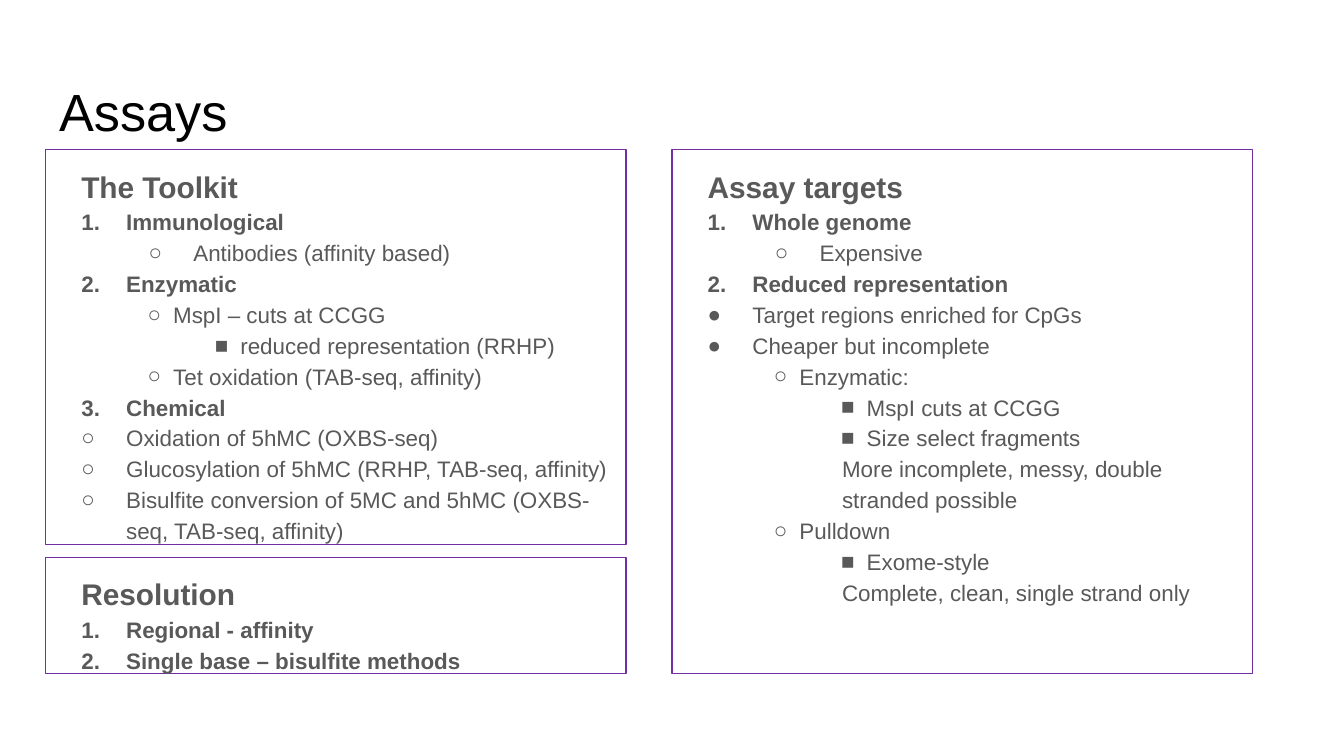
from lxml import etree
from pptx import Presentation
from pptx import util as u
from pptx.dml.color import RGBColor
from pptx.enum import shapes, text
from pptx.oxml.ns import qn

HUES = {"ink": "000000", "text": "595959", "edge": "7030A0"}
FACE = "Arial"
INSET = {f"margin_{side}": u.Pt(7.2) for side in ("left", "top", "right", "bottom")}
FRAME = {**INSET, "word_wrap": True, "auto_size": text.MSO_AUTO_SIZE.NONE,
         "vertical_anchor": text.MSO_ANCHOR.TOP}

# kind: level, left margin, indent, bullet, size, bold
KINDS = {
    "head": (0, 12, 0, None, 16, True),
    "num": (0, 36, -24, "1.", 12, True),
    "dot": (0, 36, -24, "●", 12, False),
    "ring": (1, 36, -24, "○", 12, False),
    "wide": (1, 72, -24, "○", 12, False),
    "sub": (1, 61.2, -13.7, "○", 12, False),
    "square": (2, 97.2, -13.7, "■", 12, False),
    "note": (2, 84, 0, None, 12, False),
}

TOOLKIT = [
    ("head", "The Toolkit"),
    ("num", "Immunological"),
    ("wide", "Antibodies (affinity based)"),
    ("num", "Enzymatic"),
    ("sub", "MspI – cuts at CCGG"),
    ("square", "reduced representation (RRHP)"),
    ("sub", "Tet oxidation (TAB-seq, affinity)"),
    ("num", "Chemical"),
    ("ring", "Oxidation of 5hMC (OXBS-seq)"),
    ("ring", "Glucosylation of 5hMC (RRHP, TAB-seq, affinity)"),
    ("ring", "Bisulfite conversion of 5MC and 5hMC (OXBS-seq, TAB-seq, affinity)"),
]
TARGETS = [
    ("head", "Assay targets"),
    ("num", "Whole genome"),
    ("wide", "Expensive"),
    ("num", "Reduced representation"),
    ("dot", "Target regions enriched for CpGs"),
    ("dot", "Cheaper but incomplete"),
    ("sub", "Enzymatic:"),
    ("square", "MspI cuts at CCGG"),
    ("square", "Size select fragments"),
    ("note", "More incomplete, messy, double stranded possible"),
    ("sub", "Pulldown"),
    ("square", "Exome-style"),
    ("note", "Complete, clean, single strand only"),
]
DETAIL = [
    ("head", "Resolution"),
    ("num", "Regional - affinity"),
    ("num", "Single base – bisulfite methods"),
]


def hue(name):
    """Return the named colour."""
    return RGBColor.from_string(HUES[name])


def apply(thing, values):
    """Set each attribute of thing from a dict."""
    for key, value in values.items():
        setattr(thing, key, value)


def place(shape, box):
    """Move and size a shape to a box given in points."""
    apply(shape, dict(zip(("left", "top", "width", "height"), map(u.Pt, box))))


def write(para, words, size, bold, color):
    """Add one formatted run to a paragraph."""
    run = para.add_run()
    run.text = words
    apply(run.font, {"name": FACE, "size": u.Pt(size), "bold": bold})
    run.font.color.rgb = hue(color)


def mark(para, left, indent, sign):
    """Give a paragraph its indents and its bullet or number."""
    props = para._p.get_or_add_pPr()
    props.set("marL", str(u.Pt(left)))
    props.set("indent", str(u.Pt(indent)))
    if sign is None:
        etree.SubElement(props, qn("a:buNone"))
        return
    tint = etree.SubElement(props, qn("a:buClr"))
    etree.SubElement(tint, qn("a:srgbClr"), val=HUES["text"])
    etree.SubElement(props, qn("a:buFont"), typeface=FACE)
    if sign == "1.":
        etree.SubElement(props, qn("a:buAutoNum"), type="arabicPeriod")
    else:
        etree.SubElement(props, qn("a:buChar"), char=sign)


def title(slide, box, words):
    """Fill the title placeholder."""
    shape = slide.shapes.title
    place(shape, box)
    apply(shape.text_frame, FRAME)
    para = shape.text_frame.paragraphs[0]
    para.alignment = text.PP_ALIGN.LEFT
    write(para, words, 28, False, "ink")


def panel(slide, box, items):
    """Draw an outlined box holding a headed list."""
    shape = slide.shapes.add_shape(shapes.MSO_SHAPE.RECTANGLE, *map(u.Pt, box))
    shape.shadow.inherit = False
    shape.fill.background()
    shape.line.color.rgb = hue("edge")
    shape.line.width = u.Pt(0.75)
    frame = shape.text_frame
    apply(frame, FRAME)
    for i, (kind, words) in enumerate(items):
        level, left, indent, sign, size, bold = KINDS[kind]
        para = frame.add_paragraph() if i else frame.paragraphs[0]
        apply(para, {"level": level, "alignment": text.PP_ALIGN.LEFT, "line_spacing": 1.15,
                     "space_before": u.Pt(0), "space_after": u.Pt(0)})
        mark(para, left, indent, sign)
        write(para, words, size, bold, "text")


def main():
    """Build the slide and save it."""
    deck = Presentation()
    apply(deck, {"slide_width": u.Pt(720), "slide_height": u.Pt(405)})
    slide = deck.slides.add_slide(deck.slide_layouts[5])
    left, right, top, wide = 24.5, 360, 80.2, 311
    title(slide, (left, 35, 671, 45.1), "Assays")
    panel(slide, (left, top, wide, 211.7), TOOLKIT)
    panel(slide, (right, top, wide, 280.8), TARGETS)
    panel(slide, (left, 298.6, wide, 62.4), DETAIL)
    deck.save("out.pptx")


if __name__ == "__main__":
    main()
